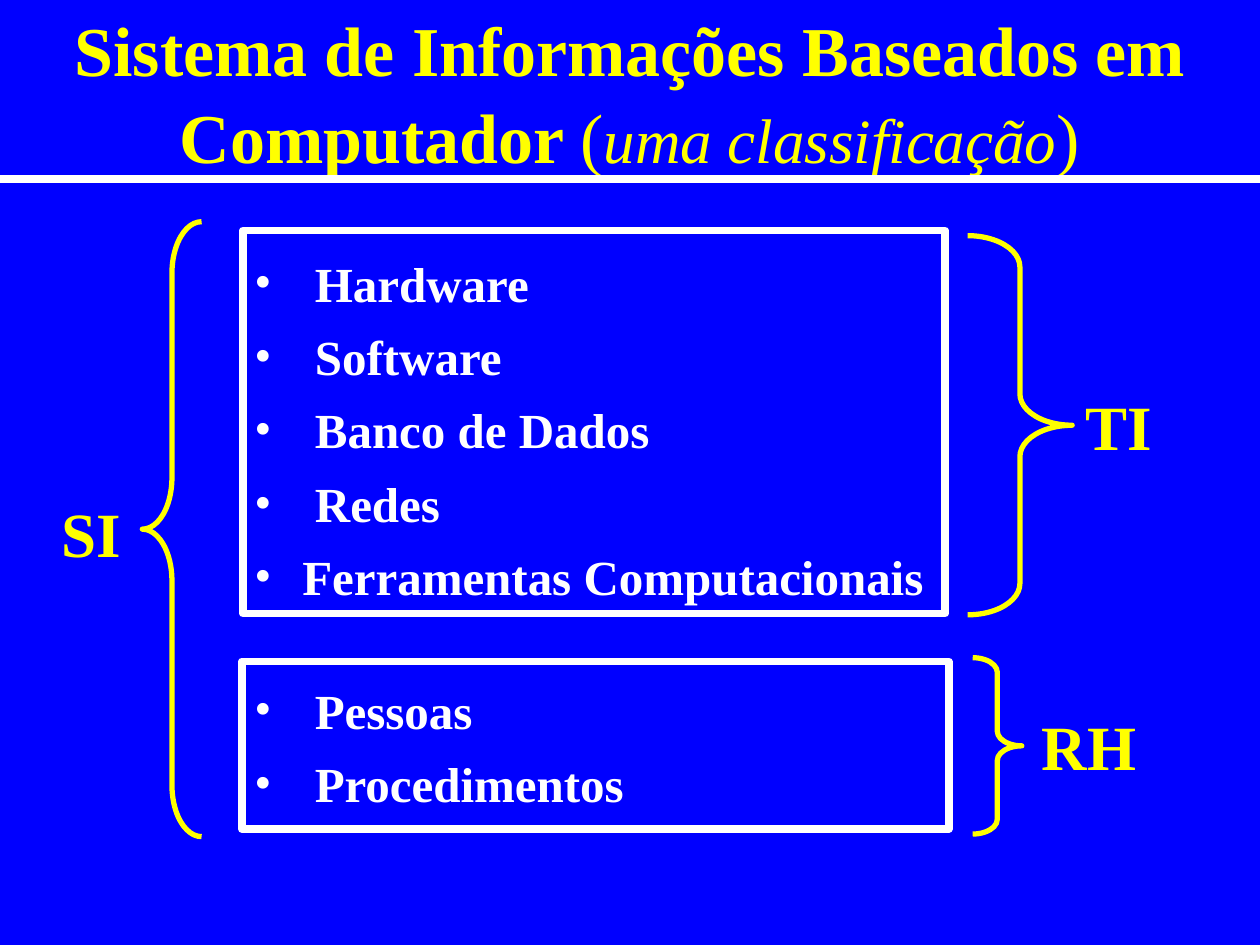
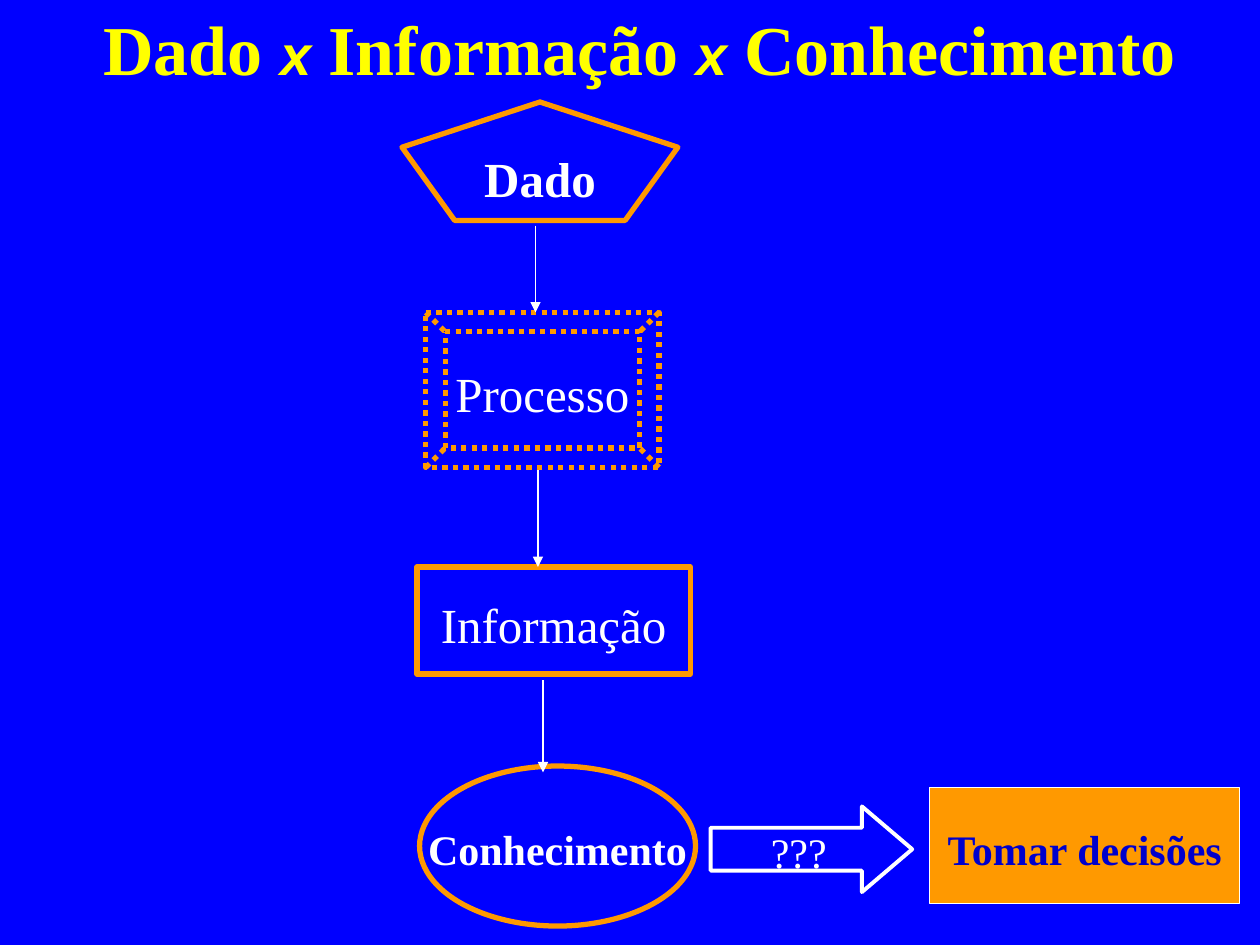
from dataclasses import dataclass
from lxml.etree import SubElement as Sub
from pptx import Presentation
from pptx.dml.color import RGBColor as Rgb
from pptx.enum.dml import MSO_LINE as Dash
from pptx.enum.shapes import MSO_CONNECTOR as Link, MSO_SHAPE as Kind
from pptx.enum.text import MSO_ANCHOR as Anchor, MSO_AUTO_SIZE as Fit, PP_ALIGN as Align
from pptx.oxml.ns import qn
from pptx.util import Inches, Pt


@dataclass(frozen=True)
class Theme:
    back: str = "0000FF"
    gold: str = "FFFF00"
    white: str = "FFFFFF"
    amber: str = "FF9900"
    navy: str = "0000CC"
    serif: str = "Times New Roman"
    sans: str = "Arial"
    head: int = 40
    label: int = 36
    cross: int = 32
    body: int = 28
    small: int = 24
    thick: float = 4.5
    brace: float = 3
    thin: float = 0.75


look = Theme()


def write(para, runs, base):
    para.line_spacing = 1.04
    for text, extra in runs:
        run = para.add_run()
        run.text = text
        form = {"name": look.serif, "bold": False, "italic": False, **base, **extra}
        run.font.color.rgb = Rgb.from_string(form.pop("color"))
        for key, value in form.items():
            setattr(run.font, key, value)


def draw(slide, kind, spot, color, width, fill=None):
    if kind is None:
        x, y, end, low = map(Inches, spot)
        item = slide.shapes.add_connector(Link.STRAIGHT, x, y, end, low)
        Sub(item.line._get_or_add_ln().getparent(), qn("a:effectLst"))
    else:
        item = slide.shapes.add_shape(kind, *map(Inches, spot))
        item.shadow.inherit = False
        if fill:
            item.fill.solid()
            item.fill.fore_color.rgb = Rgb.from_string(fill)
        else:
            item.fill.background()
    item.line.color.rgb = Rgb.from_string(color)
    item.line.width = Pt(width)
    return item


deck = Presentation()
deck.slide_width, deck.slide_height = Inches(10), Inches(7.5)
ground = deck.slide_master.background.fill
ground.solid()
ground.fore_color.rgb = Rgb.from_string(look.back)

cross = ("x", {"name": look.sans, "size": Pt(look.cross), "italic": True})
heads = [
    ((0, 0.21, 10, 0.97), 0.1, [
        ("Sistema de Informações Baseados em Computador", {}),
        (" ", {"size": Pt(look.label)}),
        ("(", {"bold": False}),
        ("uma classificação", {"size": Pt(look.label), "bold": False, "italic": True}),
        (")", {"bold": False}),
    ]),
    ((0, -0.21, 9.73, 1.1), 0.52, [
        ("Dado ", {}), cross, (" Informação ", {}), cross, (" Conhecimento", {}),
    ]),
]
slides = []
for spot, inset, runs in heads:
    slide = deck.slides.add_slide(deck.slide_layouts[5])
    title = slide.shapes.title
    place = zip(("left", "top", "width", "height"), map(Inches, spot))
    for key, value in place:
        setattr(title, key, value)
    frame = title.text_frame
    form = {"auto_size": Fit.NONE, "word_wrap": True, "vertical_anchor": Anchor.MIDDLE,
            "margin_left": Inches(inset), "margin_top": Inches(0.1)}
    for key, value in form.items():
        setattr(frame, key, value)
    para = frame.paragraphs[0]
    para.alignment = Align.CENTER
    write(para, runs, {"size": Pt(look.head), "bold": True, "color": look.gold})
    slides.append(slide)
parts, flow = slides

draw(parts, None, (0, 1.42, 10, 1.42), look.white, look.thick)
groups = [
    ((1.93, 1.83, 5.57, 3.04), 0.09, 0.16,
     ["Hardware", "Software", "Banco de Dados", "Redes", "Ferramentas Computacionais"]),
    ((1.92, 5.25, 5.61, 1.33), 0.1, 0.13, ["Pessoas", "Procedimentos"]),
]
for spot, left, top, items in groups:
    frame = draw(parts, Kind.RECTANGLE, spot, look.white, look.thick).text_frame
    form = {"word_wrap": True, "vertical_anchor": Anchor.TOP, "margin_left": Inches(left),
            "margin_top": Inches(top), "margin_right": 0}
    for key, value in form.items():
        setattr(frame, key, value)
    for rank, item in enumerate(items):
        para = frame.add_paragraph() if rank else frame.paragraphs[0]
        para.alignment = Align.LEFT
        props = para._p.get_or_add_pPr()
        hang = Inches(0.38 if item.startswith("Ferramentas") else 0.48)
        props.set("marL", str(hang))
        props.set("indent", str(-hang))
        Sub(props, qn("a:buFont"), typeface=look.serif)
        Sub(props, qn("a:buChar"), char="•")
        if rank:
            para.space_before = Pt(7)
        write(para, [(item, {})], {"size": Pt(look.body), "bold": True, "color": look.white})

braces = [
    (Kind.RIGHT_BRACE, (7.68, 1.87, 0.83, 3.01), 0.3, "TI", (8.52, 2.97, 0.83, 0.7)),
    (Kind.LEFT_BRACE, (1.13, 1.76, 0.47, 4.88), 0.87, "SI", (0.39, 3.82, 0.78, 0.7)),
    (Kind.RIGHT_BRACE, (7.72, 5.22, 0.39, 1.4), 0.3, "RH", (8.17, 5.51, 1.01, 0.7)),
]
for kind, spot, curve, text, place in braces:
    brace = draw(parts, kind, spot, look.gold, look.brace)
    brace.adjustments[0] = curve
    frame = parts.shapes.add_textbox(*map(Inches, place)).text_frame
    frame.word_wrap = True
    frame.margin_top = Inches(0.08)
    write(frame.paragraphs[0], [(text, {})],
          {"size": Pt(look.label), "bold": True, "color": look.gold})

steps = [
    (Kind.REGULAR_PENTAGON, (3.19, 0.81, 2.19, 0.94), "Dado", look.body, True, {}),
    (Kind.BEVEL, (3.38, 2.48, 1.85, 1.23), "Processo", look.body, False, {}),
    (Kind.RECTANGLE, (3.31, 4.5, 2.17, 0.85), "Informação", look.body, False, {}),
    (Kind.OVAL, (3.33, 6.08, 2.19, 1.27), "Conhecimento", look.small, True, {}),
    (Kind.RIGHT_ARROW, (5.64, 6.4, 1.6, 0.68), "???", look.small, False,
     {"color": look.white, "width": 2.25}),
    (Kind.RECTANGLE, (7.38, 6.25, 2.46, 0.92), "Tomar decisões", look.small, True,
     {"color": look.white, "width": look.thin, "fill": look.amber}),
]
for kind, spot, text, size, bold, extra in steps:
    step = draw(flow, kind, spot, **{"color": look.amber, "width": look.brace, **extra})
    if kind == Kind.BEVEL:
        step.line.dash_style = Dash.ROUND_DOT
    if kind == Kind.RIGHT_ARROW:
        step.adjustments[1] = 0.587
    frame = step.text_frame
    form = {"word_wrap": False, "vertical_anchor": Anchor.MIDDLE, "margin_top": Inches(0.08)}
    for key, value in form.items():
        setattr(frame, key, value)
    para = frame.paragraphs[0]
    para.alignment = Align.CENTER
    ink = look.navy if "fill" in extra else look.white
    write(para, [(text, {})], {"size": Pt(size), "bold": bold, "color": ink})

for x, top, low in [(4.25, 1.79, 2.48), (4.27, 3.73, 4.5), (4.31, 5.4, 6.13)]:
    arrow = draw(flow, None, (x, top, x, low), look.white, look.thin)
    Sub(arrow.line._get_or_add_ln(), qn("a:tailEnd"), type="triangle")

deck.save("out.pptx")
